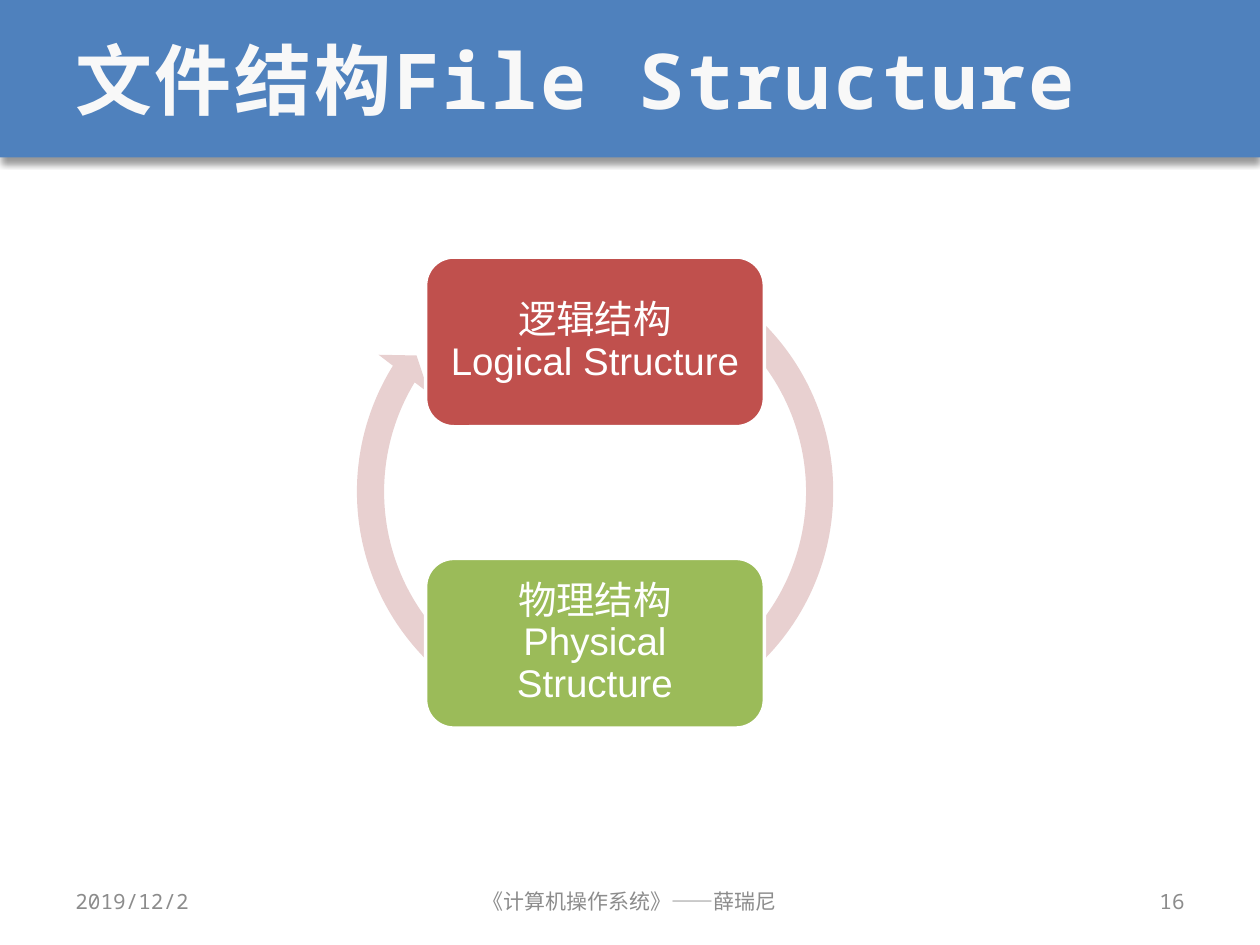
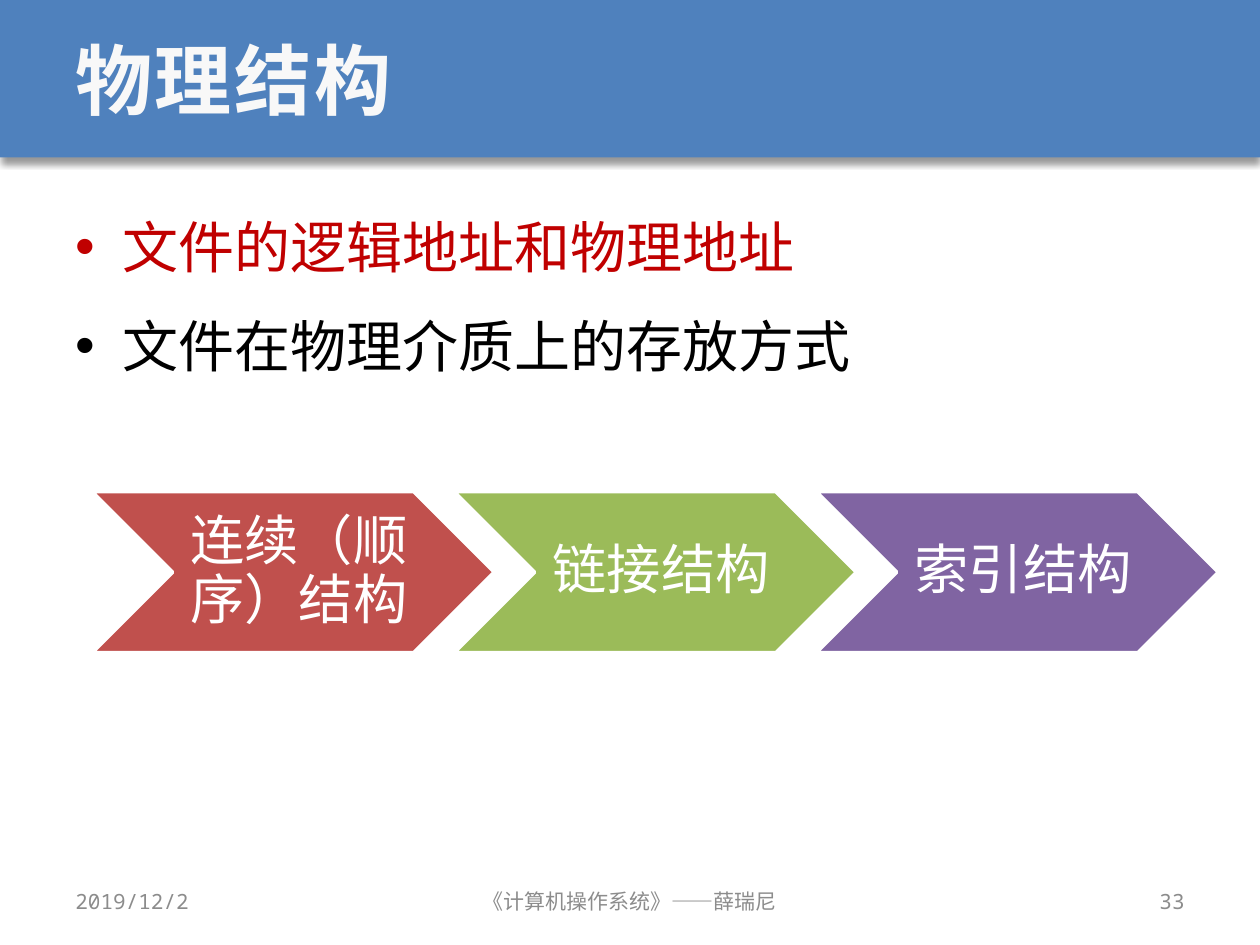
"""Build two slides about file structure in an operating systems course."""
from dataclasses import dataclass

from lxml import etree
from pptx import Presentation
from pptx.dml.color import RGBColor
from pptx.enum.shapes import MSO_SHAPE
from pptx.enum.text import MSO_ANCHOR, PP_ALIGN
from pptx.oxml.ns import qn
from pptx.shapes.autoshape import Shape
from pptx.slide import Slide
from pptx.text.text import _Paragraph
from pptx.util import Pt

BLUE = RGBColor(0x4F, 0x81, 0xBD)
RED = RGBColor(0xC0, 0x50, 0x4D)
GREEN = RGBColor(0x9B, 0xBB, 0x59)
PURPLE = RGBColor(0x80, 0x64, 0xA2)
PINK = RGBColor(0xE8, 0xD0, 0xD0)
DARK_RED = RGBColor(0xC0, 0x00, 0x00)
BLACK = RGBColor(0x00, 0x00, 0x00)
WHITE = RGBColor(0xFF, 0xFF, 0xFF)
OFF_WHITE = RGBColor(0xF8, 0xF8, 0xF8)
GRAY = RGBColor(0x8C, 0x8C, 0x8C)

RECTANGLE = MSO_SHAPE.RECTANGLE
ROUNDED = MSO_SHAPE.ROUNDED_RECTANGLE
CHEVRON = MSO_SHAPE.CHEVRON
CIRCULAR_ARROW = MSO_SHAPE.CIRCULAR_ARROW
LEFT, CENTER, RIGHT = PP_ALIGN.LEFT, PP_ALIGN.CENTER, PP_ALIGN.RIGHT
TOP, MIDDLE = MSO_ANCHOR.TOP, MSO_ANCHOR.MIDDLE

SLIDE_WIDTH, SLIDE_HEIGHT = 720, 540
MARGIN, BAND_HEIGHT = 36, 90
CONTENT_WIDTH = SLIDE_WIDTH - 2 * MARGIN
FOOTER_TOP, FOOTER_HEIGHT = 500.5, 28.75
CARD_LEFT, CARD_TOP, CARD_PITCH = 243.2, 146.9, 172.2
CARD_WIDTH, CARD_HEIGHT, CARD_PADDING = 193.6, 97, 4.7
CHEVRON_LEFT, CHEVRON_TOP, CHEVRON_PITCH = 52.6, 281, 206.9
CHEVRON_WIDTH, CHEVRON_HEIGHT = 229.8, 92
BULLET_INDENT = 27


@dataclass(frozen=True)
class Area:
    """A rectangle in points."""
    left: float
    top: float
    width: float
    height: float

    def lengths(self) -> tuple[Pt, Pt, Pt, Pt]:
        """Return the rectangle as slide lengths."""
        return Pt(self.left), Pt(self.top), Pt(self.width), Pt(self.height)


@dataclass(frozen=True)
class TextStyle:
    """The look of one kind of text."""
    size: float
    color: RGBColor
    font: str = "Noto Sans Mono"
    bold: bool = False
    tracking: float = 0


@dataclass(frozen=True)
class Block:
    """A coloured diagram block with its lines of text."""
    lines: tuple[str, ...]
    color: RGBColor


@dataclass(frozen=True)
class FooterPart:
    """One part of the footer."""
    text: str
    left: float
    width: float
    align: PP_ALIGN


TITLE_STYLE = TextStyle(44, OFF_WHITE, bold=True, tracking=1.5)
FOOTER_STYLE = TextStyle(12, GRAY)
CARD_STYLE = TextStyle(22, WHITE, "Arial")
CHEVRON_STYLE = TextStyle(31, WHITE, "Arial")

STRUCTURES = (
    Block(("逻辑结构", "Logical Structure"), RED),
    Block(("物理结构", "Physical Structure"), GREEN),
)
STORAGE_METHODS = (
    Block(("连续（顺序）结构",), RED),
    Block(("链接结构",), GREEN),
    Block(("索引结构",), PURPLE),
)
STORAGE_POINTS = (
    ("文件的逻辑地址和物理地址", DARK_RED),
    ("文件在物理介质上的存放方式", BLACK),
)


def add_span(para: _Paragraph, text: str, style: TextStyle) -> None:
    """Add one styled run to a paragraph."""
    span = para.add_run()
    span.text = text
    span.font.name = style.font
    span.font.size = Pt(style.size)
    span.font.bold = style.bold
    span.font.color.rgb = style.color
    if style.tracking:
        span.font._element.set("spc", str(round(style.tracking * 100)))


def add_box(page: Slide, area: Area, anchor: MSO_ANCHOR = MIDDLE) -> Shape:
    """Add an empty wrapping text box."""
    box = page.shapes.add_textbox(*area.lengths())
    box.text_frame.word_wrap = True
    box.text_frame.vertical_anchor = anchor
    return box


def add_line(page: Slide, area: Area, text: str, style: TextStyle,
             align: PP_ALIGN = LEFT) -> None:
    """Add a text box holding one line."""
    para = add_box(page, area).text_frame.paragraphs[0]
    para.alignment = align
    add_span(para, text, style)


def add_filled(page: Slide, kind: MSO_SHAPE, area: Area, color: RGBColor,
               outlined: bool = False) -> Shape:
    """Add a flat shape, with a white outline if asked."""
    shape = page.shapes.add_shape(kind, *area.lengths())
    shape.shadow.inherit = False
    shape.fill.solid()
    shape.fill.fore_color.rgb = color
    if outlined:
        shape.line.color.rgb = WHITE
        shape.line.width = Pt(2)
    else:
        shape.line.fill.background()
    return shape


def add_shadow(shape: Shape) -> None:
    """Give a shape a soft shadow below it."""
    effects = shape._element.spPr.find(qn("a:effectLst"))
    shadow = etree.SubElement(effects, qn("a:outerShdw"), blurRad=str(Pt(4)),
                              dist=str(Pt(3)), dir="5400000", rotWithShape="0")
    color = etree.SubElement(shadow, qn("a:srgbClr"), val="000000")
    etree.SubElement(color, qn("a:alpha"), val="40000")


def add_block_text(page: Slide, area: Area, lines: tuple[str, ...], style: TextStyle,
                   left_inset: float, inset: float) -> None:
    """Add the centred text of a diagram block."""
    frame = add_box(page, area).text_frame
    frame.margin_left = Pt(left_inset)
    frame.margin_top = frame.margin_right = frame.margin_bottom = Pt(inset)
    para = frame.paragraphs[0]
    para.alignment = CENTER
    para.line_spacing = 0.9
    para.space_after = Pt(0.35 * style.size)
    for index, line in enumerate(lines):
        if index:
            para.add_line_break()
        add_span(para, line, style)


def add_page(deck: Presentation, title: str, number: int) -> Slide:
    """Add a slide with its title band and footer."""
    page = deck.slides.add_slide(deck.slide_layouts[6])
    band = add_filled(page, RECTANGLE, Area(0, 0, SLIDE_WIDTH, BAND_HEIGHT), BLUE)
    add_shadow(band)
    add_line(page, Area(MARGIN, 0, CONTENT_WIDTH, BAND_HEIGHT), title, TITLE_STYLE)
    footer = (
        FooterPart("2019/12/2", MARGIN, 168, LEFT),
        FooterPart("《计算机操作系统》——薛瑞尼", 246, 228, CENTER),
        FooterPart(str(number), 516, 168, RIGHT),
    )
    for part in footer:
        area = Area(part.left, FOOTER_TOP, part.width, FOOTER_HEIGHT)
        add_line(page, area, part.text, FOOTER_STYLE, part.align)
    return page


def add_structure_cycle(page: Slide) -> None:
    """Draw the two structures joined by a circular arrow."""
    arrow = add_filled(page, CIRCULAR_ARROW, Area(193.6, 134.5, 293, 293), PINK)
    for index, value in enumerate((0.053, 3.439, 126.958, 180.752, 0.062)):
        arrow.adjustments[index] = value
    for index, block in enumerate(STRUCTURES):
        top = CARD_TOP + index * CARD_PITCH
        add_filled(page, ROUNDED, Area(CARD_LEFT, top, CARD_WIDTH, CARD_HEIGHT),
                   block.color, outlined=True)
        area = Area(CARD_LEFT + CARD_PADDING, top + CARD_PADDING,
                    CARD_WIDTH - 2 * CARD_PADDING, CARD_HEIGHT - 2 * CARD_PADDING)
        add_block_text(page, area, block.lines, CARD_STYLE, 6.6, 6.6)


def add_storage_points(page: Slide) -> None:
    """Write the bulleted points on physical structure."""
    area = Area(MARGIN, 106.5, CONTENT_WIDTH, 384)
    frame = add_box(page, area, TOP).text_frame
    for index, (text, color) in enumerate(STORAGE_POINTS):
        para = frame.add_paragraph() if index else frame.paragraphs[0]
        para.line_spacing = 1.3
        if index:
            para.space_before = Pt(6.4)
        properties = para._p.get_or_add_pPr()
        properties.set("marL", str(Pt(BULLET_INDENT)))
        properties.set("indent", str(Pt(-BULLET_INDENT)))
        etree.SubElement(properties, qn("a:buFont"), typeface="Arial")
        etree.SubElement(properties, qn("a:buChar"), char="•")
        add_span(para, text, TextStyle(32, color))


def add_storage_chevrons(page: Slide) -> None:
    """Draw the row of storage methods."""
    notch = CHEVRON_HEIGHT / 2
    for index, block in enumerate(STORAGE_METHODS):
        left = CHEVRON_LEFT + index * CHEVRON_PITCH
        add_filled(page, CHEVRON, Area(left, CHEVRON_TOP, CHEVRON_WIDTH, CHEVRON_HEIGHT),
                   block.color, outlined=True)
        area = Area(left + notch, CHEVRON_TOP, CHEVRON_WIDTH - 2 * notch, CHEVRON_HEIGHT)
        add_block_text(page, area, block.lines, CHEVRON_STYLE, 10, 3.4)


def main() -> None:
    """Build and save the deck."""
    deck = Presentation()
    deck.slide_width, deck.slide_height = Pt(SLIDE_WIDTH), Pt(SLIDE_HEIGHT)
    add_structure_cycle(add_page(deck, "文件结构File Structure", 16))
    page = add_page(deck, "物理结构", 33)
    add_storage_points(page)
    add_storage_chevrons(page)
    deck.save("out.pptx")


if __name__ == "__main__":
    main()
